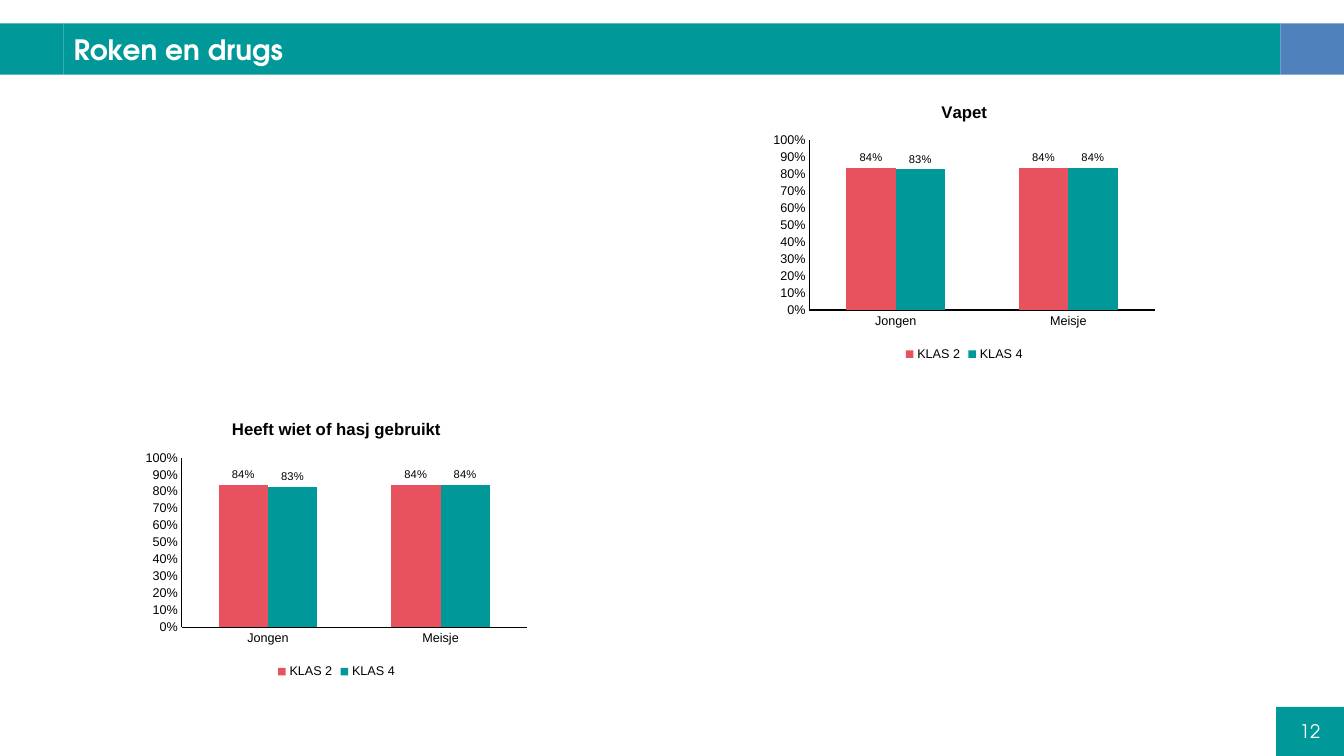
from lxml import etree
from pptx import Presentation
from pptx.chart.data import CategoryChartData
from pptx.dml.color import RGBColor
from pptx.enum.chart import (XL_CHART_TYPE, XL_LABEL_POSITION,
                             XL_LEGEND_POSITION, XL_TICK_MARK)
from pptx.enum.shapes import MSO_SHAPE
from pptx.enum.text import MSO_ANCHOR, MSO_AUTO_SIZE, PP_ALIGN
from pptx.oxml.ns import qn
from pptx.util import Cm, Pt

COLUMNS = XL_CHART_TYPE.COLUMN_CLUSTERED
OUTSIDE_END = XL_LABEL_POSITION.OUTSIDE_END
BOTTOM = XL_LEGEND_POSITION.BOTTOM
NO_TICK = XL_TICK_MARK.NONE
RECT = MSO_SHAPE.RECTANGLE
MIDDLE = MSO_ANCHOR.MIDDLE
NO_AUTOFIT = MSO_AUTO_SIZE.NONE
LEFT, CENTER = PP_ALIGN.LEFT, PP_ALIGN.CENTER

TEAL = RGBColor(0x00, 0x98, 0x98)
BLUE = RGBColor(0x4F, 0x81, 0xBD)
RED = RGBColor(0xE8, 0x52, 0x5F)
BLACK = RGBColor(0, 0, 0)
WHITE = RGBColor(0xFF, 0xFF, 0xFF)
HEADING_FONT, CHART_FONT = "TeX Gyre Adventor", "Arial"

# Content
TITLE = "Roken en drugs"
PAGE_NUMBER = "12"
GENDERS = ["Jongen", "Meisje"]
SERIES_COLORS = {"KLAS 2": RED, "KLAS 4": TEAL}
CHARTS = [  # title, left and top in cm, values per class
    ("Vapet", 19.3, 2.21,
     {"KLAS 2": (0.84, 0.84), "KLAS 4": (0.83, 0.84)}),
    ("Heeft wiet of hasj gebruikt", 3.48, 10.21,
     {"KLAS 2": (0.84, 0.84), "KLAS 4": (0.83, 0.84)}),
]

# Geometry in cm
SLIDE_W, SLIDE_H = 33.87, 19.05
BAR_TOP, BAR_H, END_W = 0.59, 1.29, 1.6
PAGE_W, PAGE_H = 1.71, 1.24
CHART_W, CHART_H = 10, 7
PLOT = {"x": 0.11, "y": 0.19, "w": 0.87, "h": 0.61}  # shares of the chart


def style_font(font, size, color, name, bold=False):
    """Set size, colour, typeface and weight of a font."""
    font.size, font.name, font.bold = Pt(size), name, bold
    font.color.rgb = color


def set_text(sp, text, size, align, bold=False):
    """Write one vertically centred white line in a shape."""
    tf = sp.text_frame
    tf.text = text
    tf.auto_size, tf.vertical_anchor = NO_AUTOFIT, MIDDLE
    p = tf.paragraphs[0]
    p.alignment = align
    style_font(p.runs[0].font, size, WHITE, HEADING_FONT, bold)


def add_block(s, left, top, width, height, color):
    """Add a plain filled rectangle."""
    sp = s.shapes.add_shape(RECT, Cm(left), Cm(top), Cm(width), Cm(height))
    sp.shadow.inherit = False
    sp.fill.solid()
    sp.fill.fore_color.rgb = color
    sp.line.fill.background()
    return sp


def fix_plot_area(chart):
    """Place the inner plot area at the shares given in PLOT."""
    area = chart.plots[0]._element.getparent()
    for old in area.findall(qn("c:layout")):
        area.remove(old)
    layout = etree.Element(qn("c:layout"))
    manual = etree.SubElement(layout, qn("c:manualLayout"))
    settings = {"layoutTarget": "inner", "xMode": "edge", "yMode": "edge", **PLOT}
    for tag, value in settings.items():
        etree.SubElement(manual, qn("c:" + tag)).set("val", str(value))
    area.insert(0, layout)


def add_column_chart(s, title, left, top, values):
    """Add a percentage column chart with one series per class."""
    data = CategoryChartData(number_format="0%")
    data.categories = GENDERS
    for name, shares in values.items():
        data.add_series(name, shares)
    chart = s.shapes.add_chart(COLUMNS, Cm(left), Cm(top), Cm(CHART_W),
                               Cm(CHART_H), data).chart
    style_font(chart.font, 9, BLACK, CHART_FONT)
    chart.has_title = True
    tf = chart.chart_title.text_frame
    tf.text = title
    style_font(tf.paragraphs[0].runs[0].font, 12, BLACK, CHART_FONT, True)
    chart.has_legend = True
    chart.legend.position = BOTTOM
    chart.legend.include_in_layout = False

    for axis in (chart.category_axis, chart.value_axis):
        axis.has_major_gridlines = False
        axis.major_tick_mark = axis.minor_tick_mark = NO_TICK
        axis.format.line.color.rgb = BLACK
        axis.format.line.width = Pt(1)
    axis = chart.value_axis
    axis.minimum_scale, axis.maximum_scale, axis.major_unit = 0, 1, 0.1
    axis.tick_labels.number_format = "0%"
    axis.tick_labels.number_format_is_linked = False

    plot = chart.plots[0]
    plot.gap_width, plot.overlap, plot.vary_by_categories = 150, 0, False
    for series in plot.series:
        series.format.fill.solid()
        series.format.fill.fore_color.rgb = SERIES_COLORS[series.name]
        labels = series.data_labels
        labels.show_value = True
        labels.position = OUTSIDE_END
        labels.number_format = "0%"
        labels.number_format_is_linked = False
        style_font(labels.font, 8, BLACK, CHART_FONT)
    fix_plot_area(chart)


prs = Presentation()
prs.slide_width, prs.slide_height = Cm(SLIDE_W), Cm(SLIDE_H)
s = prs.slides.add_slide(prs.slide_layouts[5])

page = add_block(s, SLIDE_W - PAGE_W, SLIDE_H - PAGE_H, PAGE_W, PAGE_H, TEAL)
set_text(page, PAGE_NUMBER, 13.3, CENTER)

add_block(s, 0, BAR_TOP, END_W, BAR_H, TEAL)
add_block(s, SLIDE_W - END_W, BAR_TOP, END_W, BAR_H, BLUE)
title = s.shapes.title
title.left, title.top = Cm(END_W), Cm(BAR_TOP)
title.width, title.height = Cm(SLIDE_W - 2 * END_W), Cm(BAR_H)
title.fill.solid()
title.fill.fore_color.rgb = TEAL
set_text(title, TITLE, 20, LEFT, True)

for chart_spec in CHARTS:
    add_column_chart(s, *chart_spec)

prs.save("out.pptx")
